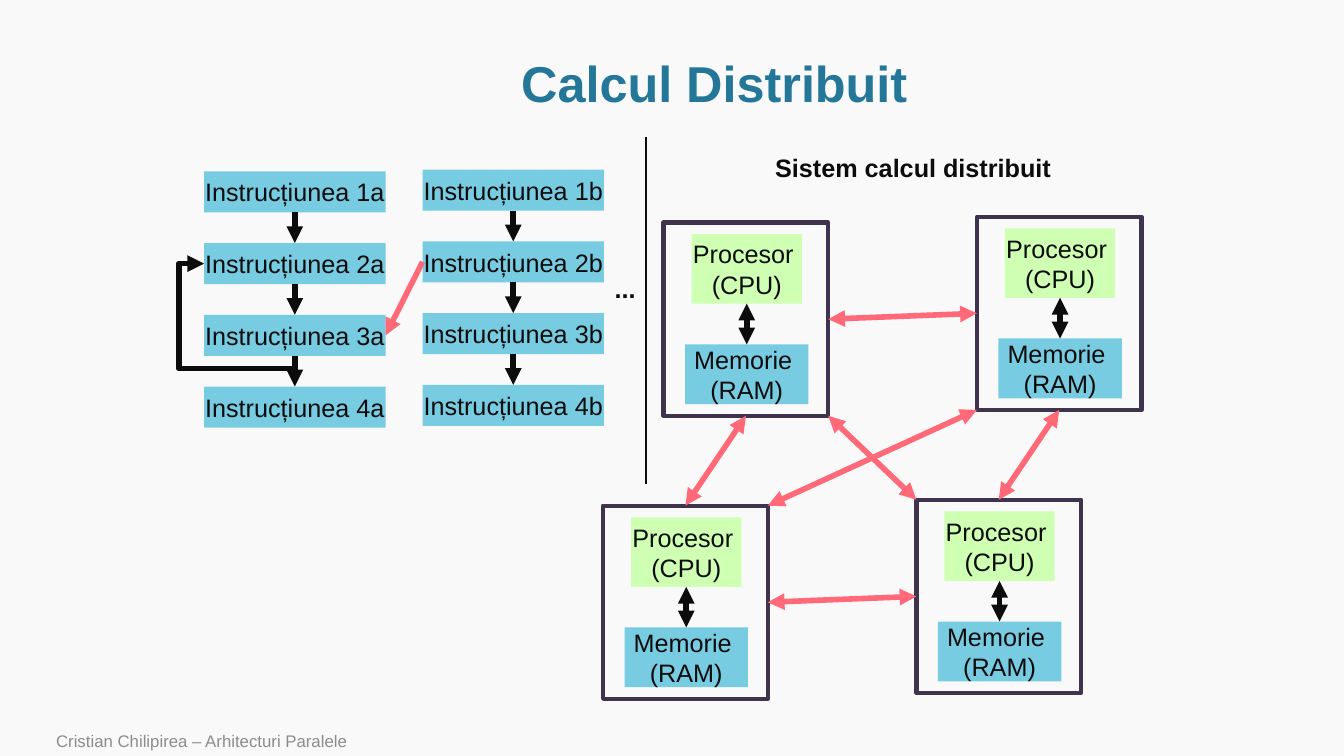
from dataclasses import dataclass
from itertools import pairwise

from lxml.etree import SubElement
from pptx import Presentation
from pptx.dml.color import RGBColor as Color
from pptx.enum.shapes import MSO_CONNECTOR as Connector, MSO_SHAPE as Preset
from pptx.enum.text import MSO_ANCHOR as Anchor, MSO_AUTO_SIZE as AutoSize, PP_ALIGN as Align
from pptx.oxml.ns import qn
from pptx.util import Inches, Pt

COLUMNS, ROWS = 160, 90
WIDTH, HEIGHT = Inches(13.33), Inches(7.5)
TOP, LEFT, BOTTOM, RIGHT = range(4)


@dataclass(frozen=True)
class Theme:
    font: str = "Arial"
    paper: str = "F9F9F9"
    ink: str = "0C0C0C"
    title: str = "247798"
    footer: str = "8C8C8C"
    blue: str = "78CCE2"
    green: str = "CFFFB3"
    frame: str = "3F334D"
    link: str = "FF6978"
    title_size: int = 36
    body_size: int = 18
    footer_size: int = 12
    thin: int = 1
    border: int = 3
    thick: int = 4


@dataclass(frozen=True)
class Box:
    col: float
    row: float
    width: float
    height: float

    def point(self, across, down):
        return (round((self.col + across * self.width) * WIDTH / COLUMNS),
                round((self.row + down * self.height) * HEIGHT / ROWS))

    def inner(self, across, down, wide, high):
        return Box(self.col + across * self.width, self.row + down * self.height,
                   wide * self.width, high * self.height)

    def bounds(self):
        left, top = self.point(0, 0)
        right, bottom = self.point(1, 1)
        return left, top, right - left, bottom - top


THEME = Theme()


def write(shape, text, size=THEME.body_size, color=THEME.ink, bold=False,
          align=Align.LEFT, anchor=Anchor.TOP, wrap=False):
    frame = shape.text_frame
    frame.text = text
    frame.word_wrap = wrap
    frame.vertical_anchor = anchor
    for para in frame.paragraphs:
        para.alignment = align
        for span in para.runs:
            span.font.name = THEME.font
            span.font.size = Pt(size)
            span.font.bold = bold
            span.font.color.rgb = Color.from_string(color)
    return frame


def draw_line(shape, color, weight, ends=()):
    shape.line.color.rgb = Color.from_string(color)
    shape.line.width = Pt(weight)
    outline = shape.get_or_add_ln()
    for end in ends:
        SubElement(outline, qn(f"a:{end}"), type="triangle")


def add_block(page, box, text, fill):
    block = page.shapes.add_shape(Preset.RECTANGLE, *box.bounds())
    block.shadow.inherit = False
    block.fill.solid()
    block.fill.fore_color.rgb = Color.from_string(fill)
    block.line.fill.background()
    write(block, text, align=Align.CENTER, anchor=Anchor.MIDDLE)
    return block


def add_line(page, start, finish, color, weight=THEME.thick, ends=()):
    line = page.shapes.add_connector(Connector.STRAIGHT, *start, *finish)
    draw_line(line, color, weight, ends)
    SubElement(line.element.spPr, qn("a:effectLst"))
    return line


def join(page, first, first_side, second, second_side, color, ends):
    line = add_line(page, (0, 0), (0, 0), color, ends=ends)
    line.begin_connect(first, first_side)
    line.end_connect(second, second_side)


def add_label(page, box, text, **style):
    label = page.shapes.add_textbox(*box.bounds())
    write(label, text, **style)


def add_title(page, box):
    title = page.shapes.title
    title.left, title.top, title.width, title.height = box.bounds()
    frame = write(title, "Calcul Distribuit", THEME.title_size, THEME.title, True,
                  Align.CENTER, Anchor.MIDDLE, True)
    frame.auto_size = AutoSize.NONE
    frame.paragraphs[0].line_spacing = 0.9


def add_thread(page, box, letter):
    pitch, high = 0.28, 0.16
    steps = [add_block(page, box.inner(0, index * pitch, 1, high),
                       f"Instrucțiunea {index + 1}{letter}", THEME.blue)
             for index in range(4)]
    for upper, lower in pairwise(steps):
        join(page, upper, BOTTOM, lower, TOP, THEME.ink, ["tailEnd"])
    return steps


def add_loop(page, box):
    corners = [box.point(*corner) for corner in
               ((0.5, 0.72), (0.5, 0.77), (-0.14, 0.77), (-0.14, 0.36), (0, 0.36))]
    builder = page.shapes.build_freeform(*corners[0])
    builder.add_line_segments(corners[1:], close=False)
    loop = builder.convert_to_shape()
    loop.shadow.inherit = False
    loop.fill.background()
    draw_line(loop, THEME.ink, THEME.thick, ["tailEnd"])


def add_node(page, box):
    memory = add_block(page, box.inner(0.13, 0.63, 0.75, 0.31), "Memorie \n(RAM)", THEME.blue)
    processor = add_block(page, box.inner(0.17, 0.06, 0.67, 0.36), "Procesor \n(CPU)", THEME.green)
    join(page, processor, BOTTOM, memory, TOP, THEME.ink, ["headEnd", "tailEnd"])
    frame = page.shapes.add_shape(Preset.RECTANGLE, *box.bounds())
    frame.shadow.inherit = False
    frame.fill.background()
    draw_line(frame, THEME.frame, THEME.border)
    return frame


def add_cluster(page, box):
    places = [Box(box.col + 37.3 * across - 7.2 * down, box.row - 0.7 * across + 33.7 * down,
                  box.width, box.height)
              for down in range(2) for across in range(2)]
    nodes = [add_node(page, place) for place in places]
    both = ["headEnd", "tailEnd"]
    for first, first_side, second, second_side in (
            (1, LEFT, 0, RIGHT), (3, LEFT, 2, RIGHT), (0, BOTTOM, 2, TOP), (1, BOTTOM, 3, TOP)):
        join(page, nodes[first], first_side, nodes[second], second_side, THEME.link, both)
    add_line(page, places[0].point(1, 1), places[3].point(0, 0), THEME.link, ends=both)
    add_line(page, places[1].point(0, 1), places[2].point(1, 0), THEME.link, ends=both)


def main():
    deck = Presentation()
    deck.slide_width, deck.slide_height = WIDTH, HEIGHT
    page = deck.slides.add_slide(deck.slide_layouts[5])
    page.background.fill.solid()
    page.background.fill.fore_color.rgb = Color.from_string(THEME.paper)

    add_title(page, Box(13.7, 6.1, 142.7, 8.3))
    add_cluster(page, Box(79, 26.5, 19.6, 23))
    add_label(page, Box(91.1, 17.6, 35.9, 4.8), "Sistem calcul distribuit", bold=True)

    thread = Box(24.3, 20.4, 21.6, 30.5)
    steps_a = add_thread(page, thread, "a")
    add_loop(page, thread)
    steps_b = add_thread(page, Box(50.3, 20.2, 21.6, 30.5), "b")
    join(page, steps_b[1], LEFT, steps_a[2], RIGHT, THEME.link, ["tailEnd"])

    add_label(page, Box(72, 32, 4.9, 4.8), "...", bold=True)
    divider = Box(76.9, 16.3, 0, 41.3)
    add_line(page, divider.point(0, 0), divider.point(0, 1), THEME.ink, THEME.thin)
    add_label(page, Box(5.5, 86.6, 117.8, 3.4), "Cristian Chilipirea – Arhitecturi Paralele",
              size=THEME.footer_size, color=THEME.footer, anchor=Anchor.BOTTOM, wrap=True)
    deck.save("out.pptx")


if __name__ == "__main__":
    main()
